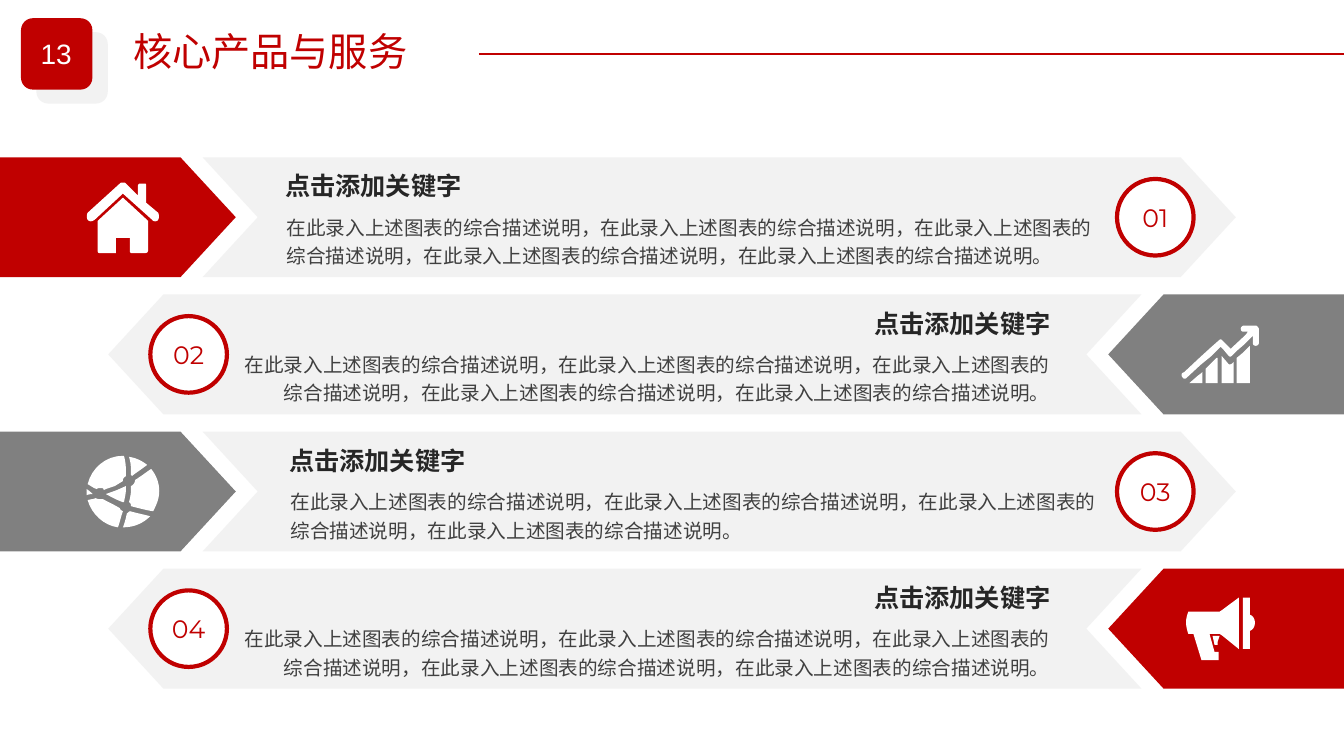
from pptx import Presentation
from pptx.dml.color import RGBColor
from pptx.enum.shapes import MSO_CONNECTOR, MSO_SHAPE
from pptx.enum.text import MSO_ANCHOR, MSO_AUTO_SIZE, PP_ALIGN
from pptx.oxml.ns import qn
from pptx.util import Pt
from lxml import etree

# Content
SECTION = "13"
TITLE = "核心产品与服务"
HEADING = "点击添加关键字"
SENTENCE = "在此录入上述图表的综合描述说明"
RED, GREY, PALE, WHITE = "C00000", "808080", "F2F2F2", "FFFFFF"
CJK = "Noto Sans CJK SC"

# Icon outlines in hundredths of an inch: pairs are corners, sixes are Bezier curves
HOUSE = [
    [(36, 15), (61, 38), (61, 67), (61, 69, 60, 70, 58, 70), (44, 70), (43, 69), (43, 55),
     (29, 55), (29, 70), (13, 70), (11, 70, 11, 69, 11, 67), (11, 38)],
    [(36, 0), (37, 0, 38, 0, 39, 1), (51, 13), (51, 3), (51, 2, 52, 1, 53, 1), (58, 1),
     (59, 1, 59, 2, 59, 3), (59, 20), (71, 30), (72, 32, 72, 35, 71, 37),
     (70, 39, 66, 39, 65, 37), (36, 11), (8, 37), (5, 39, 3, 39, 1, 37),
     (0, 35, 0, 32, 1, 30), (33, 1), (34, 0, 35, 0, 36, 0)],
]
GROWTH = [
    [(21, 46), (21, 57), (8, 57), (16, 50), (20, 47)],
    [(36, 32), (36, 57), (24, 57), (24, 43), (30, 37), (35, 32)],
    [(40, 30), (46, 37), (47, 39, 49, 39, 51, 37), (52, 36), (52, 57), (40, 57)],
    [(68, 20), (68, 57), (55, 57), (55, 32), (61, 27), (66, 22)],
    [(62, 0), (74, 0), (75, 0, 76, 1, 77, 3), (77, 17), (77, 19, 75, 20, 74, 20),
     (72, 20, 71, 19, 71, 17), (71, 10), (62, 19), (55, 25), (50, 30),
     (49, 31, 48, 31, 47, 30), (42, 24), (39, 21), (30, 30), (19, 39), (5, 52),
     (4, 53, 2, 53, 1, 51), (0, 50, 0, 48, 1, 47), (3, 46), (19, 31), (30, 21), (38, 14),
     (39, 13, 40, 14, 41, 15), (49, 23), (64, 9), (66, 6), (62, 6), (60, 6, 59, 5, 59, 3),
     (59, 2, 60, 0, 62, 0)],
]
GLOBE = [
    [(36, 0), (37, 0), (39, 7, 39, 13, 39, 20), (38, 21, 36, 22, 36, 24), (36, 25),
     (33, 27, 31, 28, 28, 30), (25, 31, 21, 32, 17, 34), (17, 32, 15, 32, 14, 32),
     (12, 32, 11, 32, 10, 33), (7, 32, 4, 30, 1, 28), (5, 12, 19, 0, 36, 0)],
    [(42, 1), (49, 2, 55, 5, 60, 9), (55, 13, 50, 16, 45, 20), (44, 19),
     (44, 13, 44, 7, 42, 1)],
    [(64, 13), (58, 17, 53, 21, 48, 24), (48, 27, 46, 29, 44, 30), (44, 33),
     (44, 38, 43, 42, 42, 46), (44, 47, 44, 49, 44, 50), (52, 52, 59, 54, 66, 55),
     (69, 49, 72, 43, 72, 35), (72, 27, 69, 19, 64, 13)],
    [(63, 60), (56, 67, 47, 71, 36, 71), (38, 66, 39, 61, 40, 57), (42, 56, 42, 55, 43, 55),
     (50, 57, 56, 58, 63, 60)],
    [(31, 71), (17, 69, 5, 58, 1, 44), (4, 43, 7, 43, 9, 42), (11, 43, 12, 43, 14, 43),
     (16, 43), (22, 46, 28, 49, 33, 52), (33, 53, 34, 54, 36, 55), (34, 60, 33, 66, 31, 71)],
    [(0, 39), (3, 38, 4, 38, 6, 38), (4, 36, 3, 35, 0, 33)],
    [(39, 30), (30, 34), (19, 38), (25, 41, 30, 44, 36, 46), (37, 46),
     (38, 41, 39, 37, 39, 32)],
]
MEGAPHONE = [
    [(3, 14), (34, 14), (37, 12), (53, 0), (53, 51), (37, 38), (34, 36), (24, 36), (29, 54),
     (33, 54), (33, 62), (16, 62), (8, 36), (3, 36), (0, 28, 0, 21, 3, 14)],
    [(64, 17), (67, 18, 69, 21, 69, 25), (69, 29, 67, 32, 64, 33), (64, 51), (57, 51),
     (57, 0), (64, 0)],
    [(34, 38), (27, 38), (29, 47), (32, 47), (32, 44)],
]

# number, on the left, tab colour, icon, icon left, icon drop, text left, sentences
ROWS = [
    ("01", True, RED, HOUSE, 61.9, 18, 196.6, 5),
    ("02", False, GREY, GROWTH, 843.8, 22.3, 162.7, 5),
    ("03", True, GREY, GLOBE, 61.9, 17.3, 199.4, 4),
    ("04", False, RED, MEGAPHONE, 846.7, 20.6, 162.7, 5),
]

# Layout in points
SLIDE_WIDTH, SLIDE_HEIGHT = 960, 540
ROW_TOP, ROW_STEP, ROW_HEIGHT = 112.4, 97.95, 85.6
ARROW_LEFT, ARROW_WIDTH = 144.7, 738
TAB_WIDTH, TAB_SHOULDER = 168.4, 128.9
RING_LEFT, RING_SIZE = 797.9, 54.7
HEADING_WIDTH, BODY_WIDTH = 188.6, 594.7
ICON_UNIT = 0.72

presentation = Presentation()
presentation.slide_width, presentation.slide_height = Pt(SLIDE_WIDTH), Pt(SLIDE_HEIGHT)
slide = presentation.slides.add_slide(presentation.slide_layouts[5])
shapes = slide.shapes


def color(value):
    return RGBColor.from_string(value)


def paint(shape, fill):
    shape.shadow.inherit = False
    shape.fill.solid()
    shape.fill.fore_color.rgb = color(fill)
    shape.line.fill.background()
    return shape


def add_box(kind, left, top, width, height, fill):
    return paint(shapes.add_shape(kind, Pt(left), Pt(top), Pt(width), Pt(height)), fill)


def write(shape, text, size, font, ink, align, bold=False, spacing=None, wrap=True):
    frame = shape.text_frame
    frame.text = text
    frame.word_wrap = wrap
    frame.auto_size = MSO_AUTO_SIZE.NONE
    paragraph = frame.paragraphs[0]
    paragraph.alignment = align
    paragraph.line_spacing = spacing
    paragraph.font.size, paragraph.font.name, paragraph.font.bold = Pt(size), font, bold
    paragraph.font.color.rgb = color(ink)
    for run in paragraph.runs:
        etree.SubElement(run.font._element, qn("a:ea"), typeface=font)
    return frame


def add_text(left, top, width, height, *style, **options):
    box = shapes.add_textbox(Pt(left), Pt(top), Pt(width), Pt(height))
    return write(box, *style, **options)


def flatten(outline):
    """Turn corners and Bezier curves into a list of points."""
    points = []
    for item in outline:
        if len(item) == 2:
            points.append(item)
            continue
        controls = [points[-1], item[:2], item[2:4], item[4:]]
        for t in (step / 8 for step in range(1, 9)):
            weights = ((1 - t) ** 3, 3 * t * (1 - t) ** 2, 3 * t * t * (1 - t), t ** 3)
            points.append(tuple(sum(w * c[axis] for w, c in zip(weights, controls))
                                for axis in (0, 1)))
    return points


def add_outlines(outlines, left, top, unit, fill):
    builder = None
    for outline in outlines:
        points = [(Pt(left + x * unit), Pt(top + y * unit)) for x, y in flatten(outline)]
        if builder is None:
            builder = shapes.build_freeform(*points[0])
        else:
            builder.move_to(*points[0])
        builder.add_line_segments(points[1:], close=True)
    paint(builder.convert_to_shape(), fill)


# Header
for left, top, fill in ((26, 23, PALE), (15, 13, RED)):
    add_box(MSO_SHAPE.ROUNDED_RECTANGLE, left, top, 51, 51, fill)
rule = shapes.add_connector(MSO_CONNECTOR.STRAIGHT, Pt(342), Pt(38.4), Pt(SLIDE_WIDTH), Pt(38.4))
rule.line.color.rgb, rule.line.width = color(RED), Pt(1.25)
etree.SubElement(rule._element.spPr, qn("a:effectLst"))
add_text(20.7, 22.3, 39, 31.5, SECTION, 20, "Arial", WHITE, PP_ALIGN.CENTER, wrap=False)
title = shapes.title
title.left, title.top, title.width, title.height = Pt(88), Pt(16), Pt(212.4), Pt(41)
write(title, TITLE, 28, CJK, RED, PP_ALIGN.LEFT, wrap=False).vertical_anchor = MSO_ANCHOR.TOP

# Rows, mirrored when the tab sits on the right
for index, (number, on_left, tab, icon, icon_left, icon_drop, text_left, count) in enumerate(ROWS):
    top = ROW_TOP + index * ROW_STEP

    def place(left, width):
        return left if on_left else SLIDE_WIDTH - left - width

    arrow = add_box(MSO_SHAPE.NOTCHED_RIGHT_ARROW, place(ARROW_LEFT, ARROW_WIDTH), top,
                    ARROW_WIDTH, ROW_HEIGHT, PALE)
    arrow.adjustments[0], arrow.adjustments[1] = 1, 0.46
    arrow.rotation = 0 if on_left else 180

    ring = add_box(MSO_SHAPE.OVAL, place(RING_LEFT, RING_SIZE),
                   top + (ROW_HEIGHT - RING_SIZE) / 2, RING_SIZE, RING_SIZE, WHITE)
    ring.line.color.rgb, ring.line.width = color(RED), Pt(3)
    frame = write(ring, number, 18, "Montserrat", RED, PP_ALIGN.CENTER, wrap=False)
    frame.vertical_anchor = MSO_ANCHOR.MIDDLE

    align = PP_ALIGN.LEFT if on_left else PP_ALIGN.RIGHT
    heading_left = text_left if on_left else text_left + BODY_WIDTH - HEADING_WIDTH
    add_text(heading_left, top + 6, HEADING_WIDTH, 29, HEADING, 18, CJK, "262626", align, bold=True)
    add_text(text_left + on_left, top + 35, BODY_WIDTH, 46,
             "，".join([SENTENCE] * count) + "。", 14, CJK, "404040", align, spacing=1.2)

    corners = [(0, 0), (TAB_SHOULDER, 0), (TAB_WIDTH, ROW_HEIGHT / 2),
               (TAB_SHOULDER, ROW_HEIGHT), (0, ROW_HEIGHT)]
    add_outlines([[(place(x, 0), y) for x, y in corners]], 0, top, 1, tab)
    add_outlines(icon, icon_left, top + icon_drop, ICON_UNIT, WHITE)

presentation.save("out.pptx")
